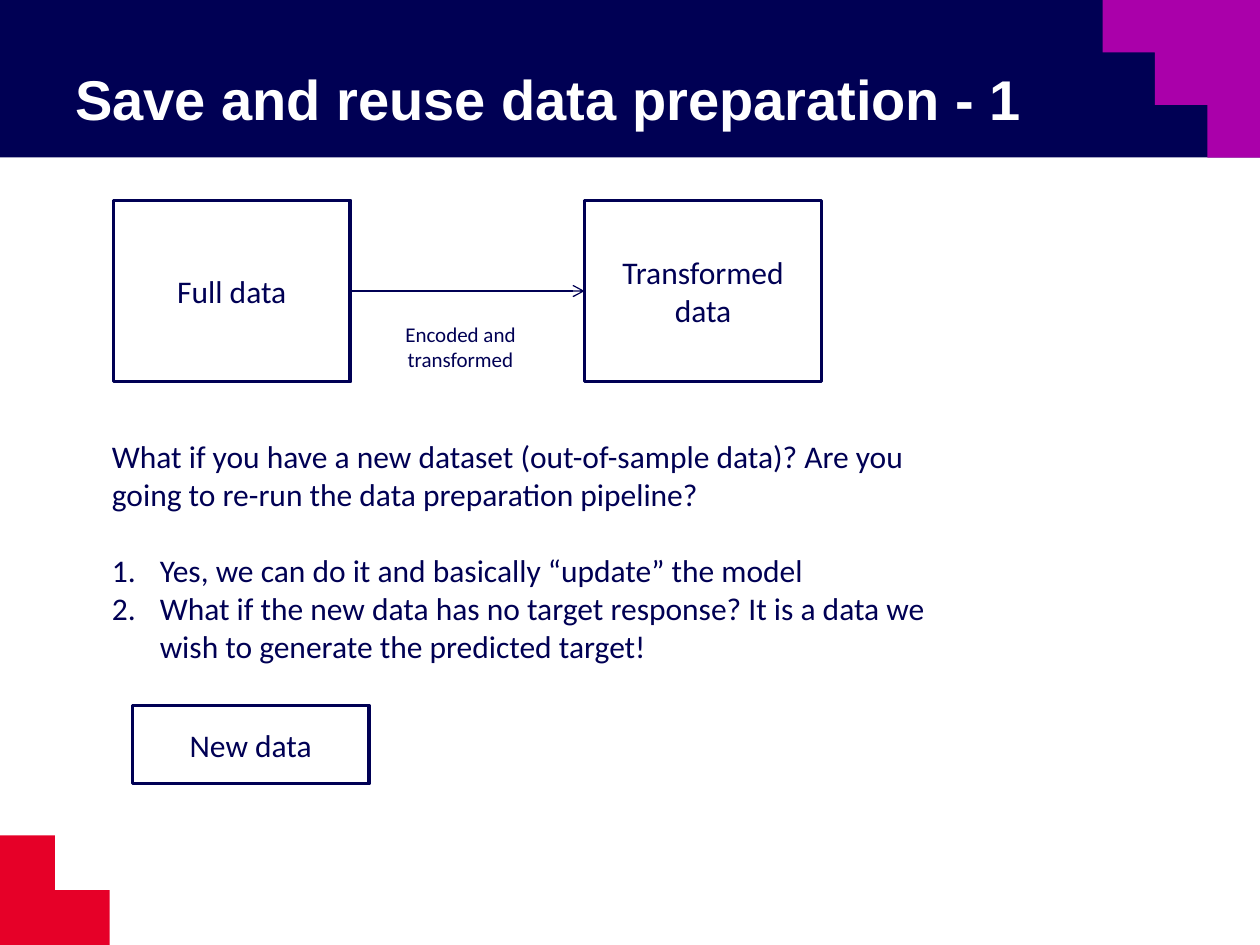
from lxml.etree import SubElement
from pptx import Presentation
from pptx.dml.color import RGBColor
from pptx.enum.shapes import MSO_CONNECTOR, MSO_SHAPE
from pptx.enum.text import MSO_ANCHOR, PP_ALIGN
from pptx.oxml.ns import qn
from pptx.util import Inches, Pt

COLORS = {"navy": "000054", "red": "E60028", "purple": "AA00AA", "white": "FFFFFF"}


def paint(shape, fill, line=None):
    """Set a flat fill and an optional 2 pt outline, without shadow."""
    shape.shadow.inherit = False
    shape.fill.solid()
    shape.fill.fore_color.rgb = RGBColor.from_string(COLORS[fill])
    if line:
        shape.line.color.rgb = RGBColor.from_string(COLORS[line])
        shape.line.width = Pt(2)
    else:
        shape.line.fill.background()


def style(para, size, color="navy", name="Calibri", bold=False, align=PP_ALIGN.LEFT):
    para.alignment = align
    para.font.size = Pt(size)
    para.font.name = name
    para.font.bold = bold
    para.font.color.rgb = RGBColor.from_string(COLORS[color])


deck = Presentation()
deck.slide_width, deck.slide_height = Inches(10), Inches(7.5)
page = deck.slides.add_slide(deck.slide_layouts[6])
shapes = page.shapes

# Header band and corner decorations
band = shapes.add_shape(MSO_SHAPE.RECTANGLE, 0, 0, Inches(10), Inches(1.25))
paint(band, "navy")
corner = shapes.add_shape(MSO_SHAPE.CORNER, 0, Inches(6.63), Inches(0.87), Inches(0.87))
paint(corner, "red")

step = 1.25 / 3
stairs = []
for i in range(3):
    x = 8.75 + i * step
    stairs += [(Inches(x), Inches(i * step)), (Inches(x), Inches((i + 1) * step))]
builder = shapes.build_freeform(*stairs[0], scale=1.0)
builder.add_line_segments(stairs[1:] + [(Inches(10), Inches(1.25)), (Inches(10), 0)])
paint(builder.convert_to_shape(), "purple")

title = shapes.add_textbox(Inches(0.5), Inches(0.3), Inches(9), Inches(0.95))
title.text_frame.word_wrap = True
title.text_frame.vertical_anchor = MSO_ANCHOR.MIDDLE
title.text_frame.text = "Save and reuse data preparation - 1"
style(title.text_frame.paragraphs[0], 32, "white", "Arial", bold=True)

# Data boxes
for label, left, top, height in [
    ("Full data", 0.9, 1.59, 1.44),
    ("Transformed data", 4.64, 1.59, 1.44),
    ("New data", 1.05, 5.6, 0.62),
]:
    box = shapes.add_shape(
        MSO_SHAPE.RECTANGLE, Inches(left), Inches(top), Inches(1.88), Inches(height)
    )
    paint(box, "white", "navy")
    box.text_frame.word_wrap = True
    box.text_frame.vertical_anchor = MSO_ANCHOR.MIDDLE
    box.text_frame.text = label
    style(box.text_frame.paragraphs[0], 18, align=PP_ALIGN.CENTER)

# Arrow between the boxes and its caption
arrow = shapes.add_connector(
    MSO_CONNECTOR.STRAIGHT, Inches(2.79), Inches(2.31), Inches(4.64), Inches(2.31)
)
arrow.line.color.rgb = RGBColor.from_string(COLORS["navy"])
arrow.line.width = Pt(0.75)
outline = arrow._element.spPr.find(qn("a:ln"))
SubElement(outline, qn("a:tailEnd"), type="arrow")
SubElement(arrow._element.spPr, qn("a:effectLst"))

caption = shapes.add_textbox(Inches(2.79), Inches(2.5), Inches(1.73), Inches(0.5))
caption.text_frame.word_wrap = True
caption.text_frame.text = "Encoded and transformed"
style(caption.text_frame.paragraphs[0], 12, align=PP_ALIGN.CENTER)

# Question with numbered answers
body = shapes.add_textbox(Inches(0.79), Inches(3.42), Inches(6.96), Inches(1.92))
frame = body.text_frame
frame.word_wrap = True
frame.text = (
    "What if you have a new dataset (out-of-sample data)? "
    "Are you going to re-run the data preparation pipeline?"
)
style(frame.paragraphs[0], 18)
frame.paragraphs[0].space_after = Pt(22)
for answer in [
    "Yes, we can do it and basically “update” the model",
    "What if the new data has no target response? "
    "It is a data we wish to generate the predicted target!",
]:
    para = frame.add_paragraph()
    para.text = answer
    properties = para._p.get_or_add_pPr()
    properties.set("marL", str(Inches(0.38)))
    properties.set("indent", str(-Inches(0.38)))
    SubElement(properties, qn("a:buFont"), typeface="+mj-lt")
    SubElement(properties, qn("a:buAutoNum"), type="arabicPeriod")
    style(para, 18)

deck.save("out.pptx")
